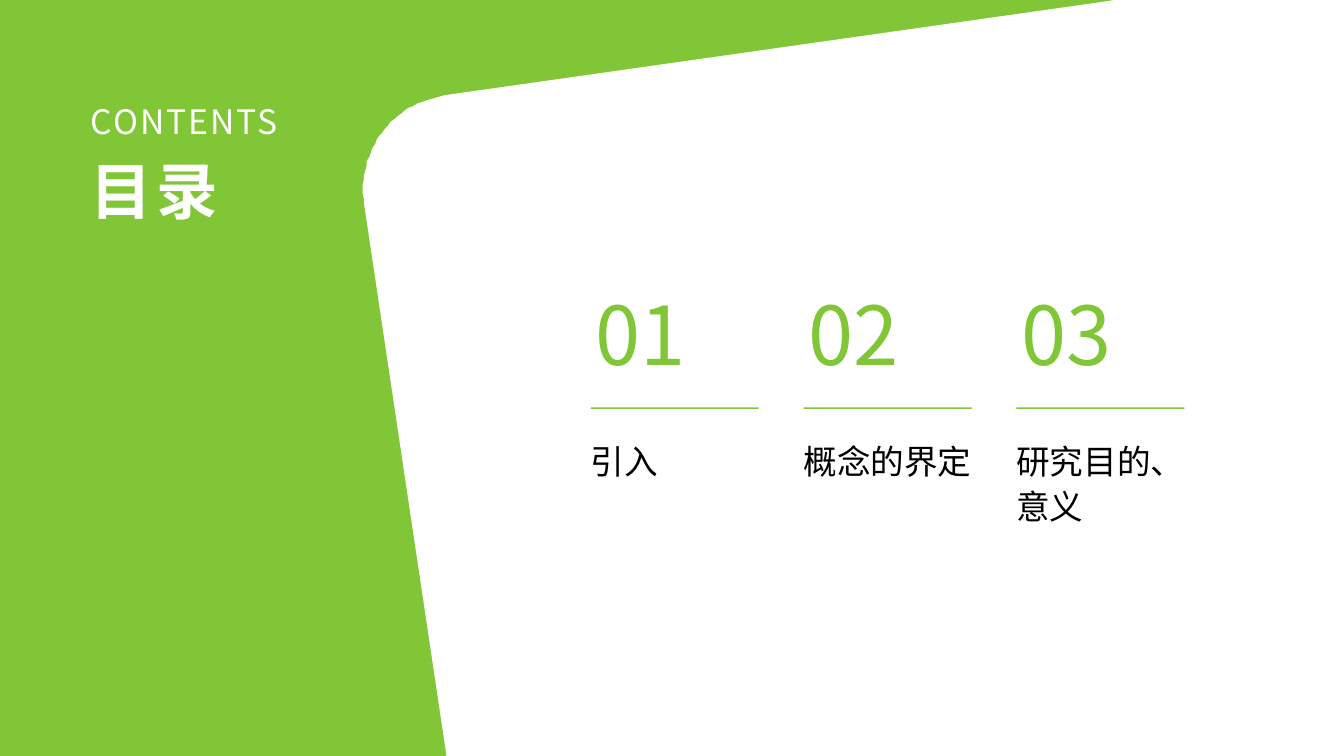
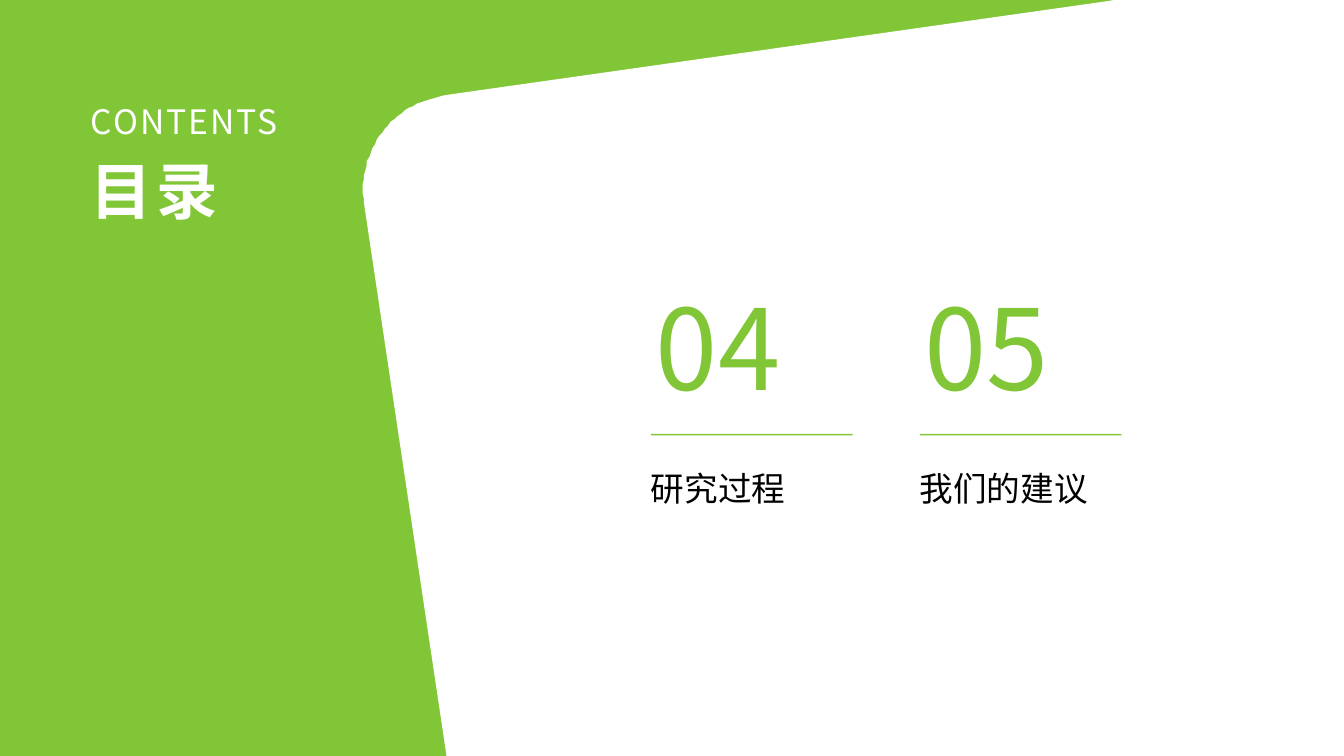
from lxml import etree
from pptx import Presentation
from pptx.dml.color import RGBColor
from pptx.enum.shapes import MSO_SHAPE
from pptx.enum.text import MSO_ANCHOR, PP_ALIGN
from pptx.oxml.ns import qn
from pptx.util import Pt

RECT = MSO_SHAPE.RECTANGLE
LEFT, CENTER = PP_ALIGN.LEFT, PP_ALIGN.CENTER
TOP, MIDDLE = MSO_ANCHOR.TOP, MSO_ANCHOR.MIDDLE

COLORS = {"green": "81C637", "white": "FFFFFF", "black": "000000"}
FONT = "Noto Sans CJK SC"
WIDTH, HEIGHT = 960, 540
BLANK = 6

# Rounded corner of the white panel: cubic curve and its number of steps
CORNER = [(259.9, 145.4), (254.9, 108), (280.1, 73.4), (317.5, 68.4)]
STEPS = 32

# Per slide: labels, first number, rule left, top and width, column step,
# digit size, left shift and top
PAGES = [
    dict(labels=["引入", "概念的界定", "研究目的、意义"], first=1,
         left=422, top=291, width=120, step=152,
         size=58, shift=5.8, rise=206),
    dict(labels=["研究过程", "我们的建议"], first=4,
         left=465, top=310, width=144, step=192,
         size=80, shift=9.2, rise=202.3),
]


def color(name):
    return RGBColor.from_string(COLORS[name])


def paint(shape, name):
    """Plain fill, with no line and no shadow."""
    shape.shadow.inherit = False
    shape.fill.solid()
    shape.fill.fore_color.rgb = color(name)
    shape.line.fill.background()


def text(shapes, words, box, *, size, ink, spacing, bold=False, track=0,
         align=LEFT, anchor=TOP, after=0):
    frame = shapes.add_textbox(*map(Pt, box)).text_frame
    frame.word_wrap = True
    frame.vertical_anchor = anchor
    frame.margin_left = frame.margin_right = 0
    frame.margin_top = frame.margin_bottom = 0
    para = frame.paragraphs[0]
    para.alignment = align
    para.line_spacing = spacing
    para.space_after = Pt(after)
    run = para.add_run()
    run.text = words
    run.font.size = Pt(size)
    run.font.bold = bold
    run.font.color.rgb = color(ink)
    run.font.name = FONT
    # East Asian font and letter spacing
    props = run.font._element
    etree.SubElement(props, qn("a:ea")).set("typeface", FONT)
    if track:
        props.set("spc", str(int(track * 100)))


def curve(points, t):
    """Point at t on a cubic curve."""
    u = 1 - t
    parts = (u ** 3, 3 * u * u * t, 3 * u * t * t, t ** 3)
    return tuple(sum(k * p[axis] for k, p in zip(parts, points))
                 for axis in (0, 1))


def panel(shapes):
    arc = [curve(CORNER, n / STEPS) for n in range(STEPS + 1)]
    edge = [(790, 0.7), (796, 0), (WIDTH, 0), (WIDTH, HEIGHT), (319, HEIGHT)]
    form = shapes.build_freeform(*arc[0], scale=float(Pt(1)))
    form.add_line_segments(arc[1:] + edge, close=True)
    paint(form.convert_to_shape(), "white")


def heading(shapes):
    text(shapes, "目录", (64.8, 102.2, 178, 60), size=44, ink="white",
         spacing=1.14, bold=True, track=3)
    text(shapes, "CONTENTS", (64.8, 64.8, 173, 36), size=24, ink="white",
         spacing=1.25, track=1.5, after=10)


def entry(shapes, number, label, left, page):
    """Number, rule and label of one chapter, as a group."""
    parts = shapes.add_group_shape().shapes
    size, top, width = page["size"], page["top"], page["width"]
    text(parts, f"{number:02d}",
         (left - page["shift"], page["rise"], size * 1.43, size),
         size=size, ink="green", spacing=1.09, align=CENTER, anchor=MIDDLE)
    rule = parts.add_shape(RECT, Pt(left), Pt(top), Pt(width), Pt(1))
    paint(rule, "green")
    text(parts, label, (left, top + 20.9, width * 1.05, 72), size=24,
         ink="black", spacing=1.11)


def contents(deck, page):
    shapes = deck.slides.add_slide(deck.slide_layouts[BLANK]).shapes
    panel(shapes)
    heading(shapes)
    for n, label in enumerate(page["labels"]):
        entry(shapes, page["first"] + n, label,
              page["left"] + n * page["step"], page)


def main():
    deck = Presentation()
    deck.slide_width, deck.slide_height = Pt(WIDTH), Pt(HEIGHT)
    # Shared background
    back = deck.slide_master.background.fill
    back.solid()
    back.fore_color.rgb = color("green")
    for page in PAGES:
        contents(deck, page)
    deck.save("out.pptx")


if __name__ == "__main__":
    main()
